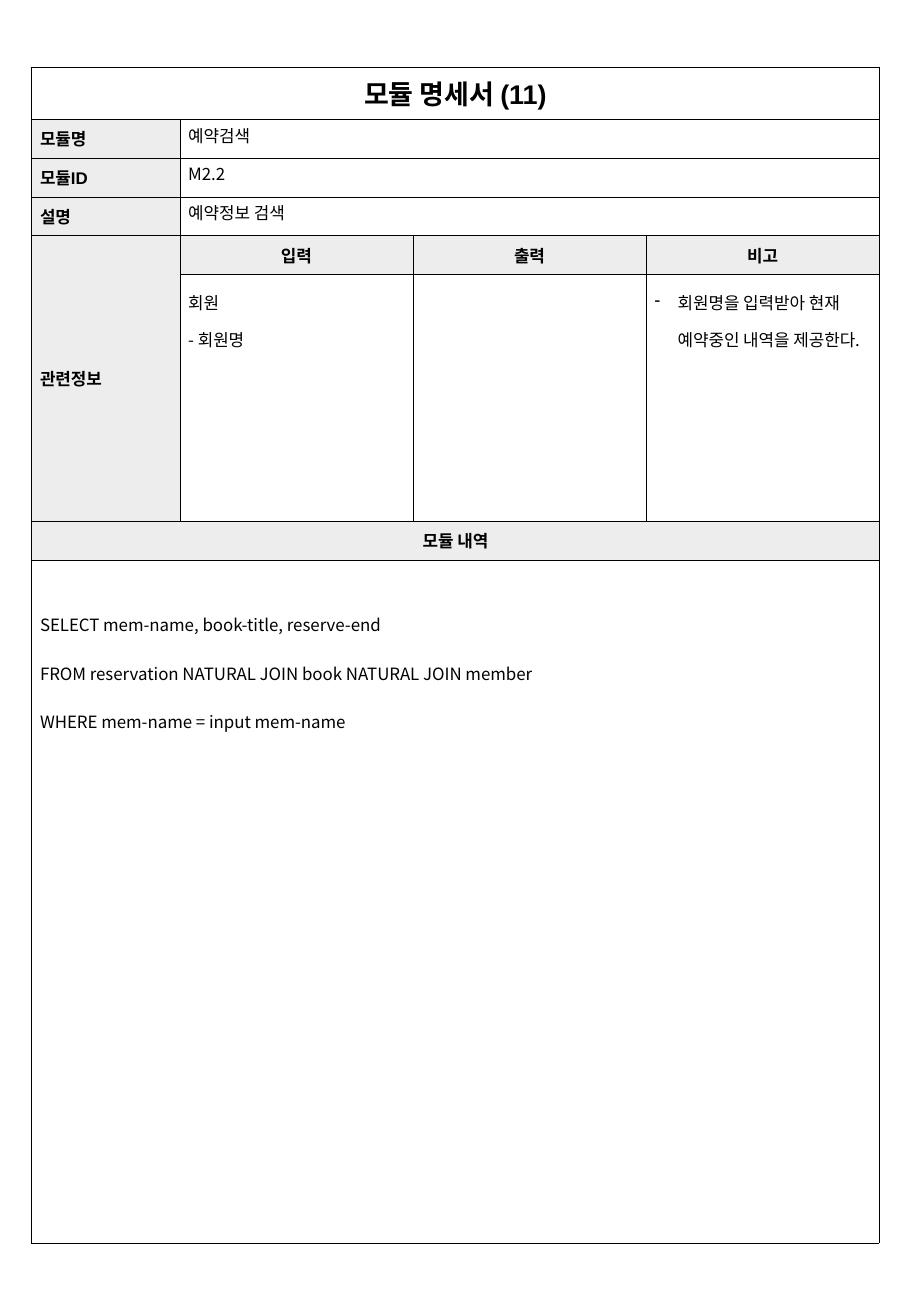
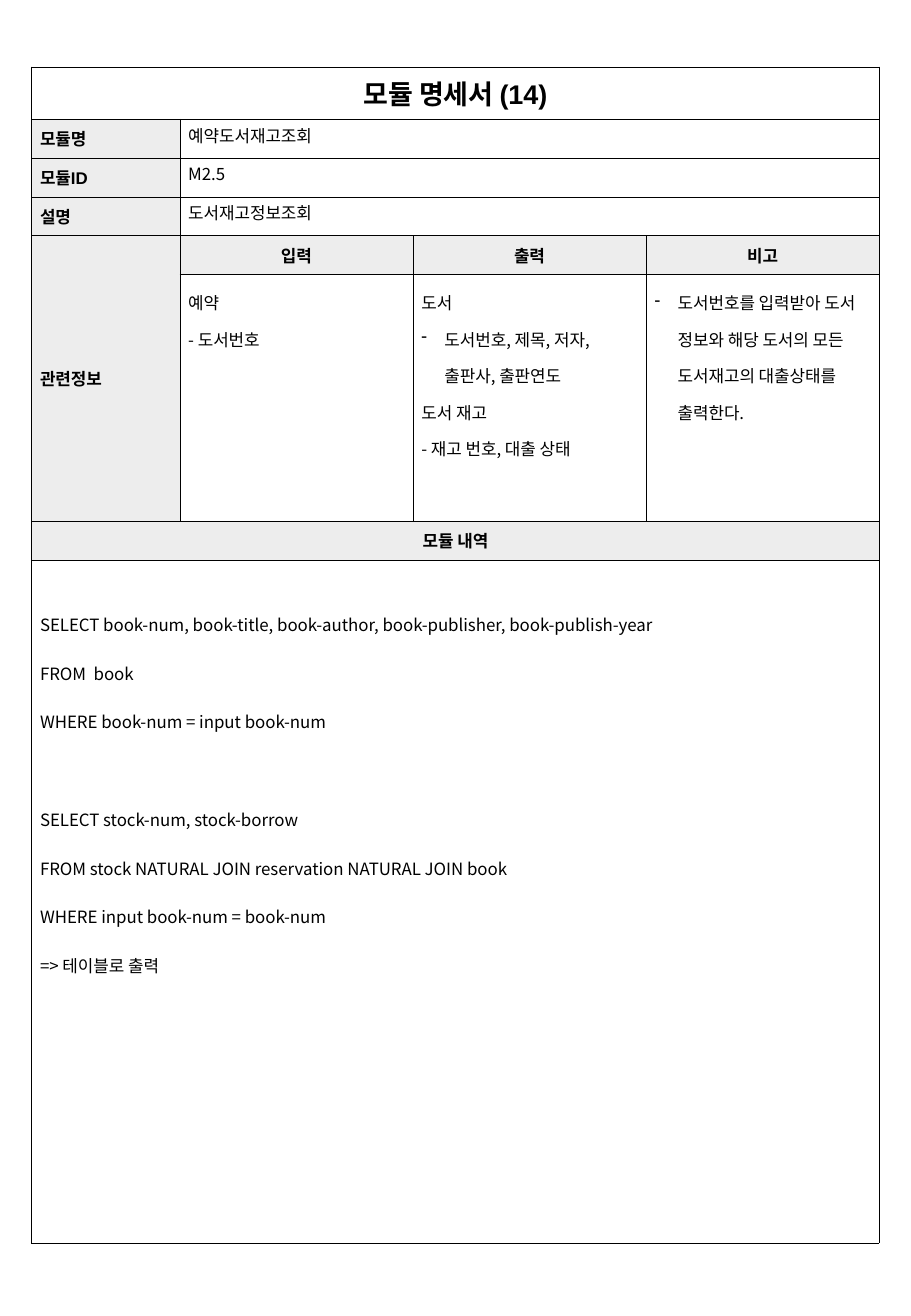
from dataclasses import dataclass

from lxml import etree
from pptx import Presentation
from pptx.dml.color import RGBColor
from pptx.enum.text import MSO_ANCHOR, PP_ALIGN
from pptx.oxml.ns import qn
from pptx.util import Inches, Pt

LEFT, CENTER = PP_ALIGN.LEFT, PP_ALIGN.CENTER
TOP, MIDDLE = MSO_ANCHOR.TOP, MSO_ANCHOR.MIDDLE

INK, PAPER, LABEL_FILL = "000000", "FFFFFF", "EDEDED"
LABEL_FONT, BODY_FONT = "Arial", "Noto Sans CJK KR"
BORDER_WIDTH = 0.25
SIDE_MARGIN, EDGE_MARGIN = 0.07, 0.03
HANGING = 0.19

SHEET_BOX = (0.26, 0.55, 6.98, 9.68)
COLUMN_WIDTHS = [1.22, 1.92, 1.92, 1.92]
ROW_HEIGHTS = [0.43, 0.32, 0.32, 0.32, 0.32, 2.03, 0.32, 5.62]
FIELD_LABELS = ["모듈명", "모듈ID", "설명"]
INFO_HEADINGS = ["입력", "출력", "비고"]


@dataclass
class Line:
    """A line of text, with a hanging dash or space above if wanted."""
    text: str
    dash: bool = False
    before: float = 0


MODULES = [
    {
        "number": 11,
        "fields": ["예약검색", "M2.2", "예약정보 검색"],
        "info": [
            [Line("회원"), Line("- 회원명")],
            [],
            [Line("회원명을 입력받아 현재 예약중인 내역을 제공한다.", dash=True)],
        ],
        "query": [
            Line("SELECT mem-name, book-title, reserve-end"),
            Line("FROM reservation NATURAL JOIN book NATURAL JOIN member"),
            Line("WHERE mem-name = input mem-name"),
        ],
    },
    {
        "number": 14,
        "fields": ["예약도서재고조회", "M2.5", "도서재고정보조회"],
        "info": [
            [Line("예약"), Line("- 도서번호")],
            [
                Line("도서"),
                Line("도서번호, 제목, 저자, 출판사, 출판연도", dash=True),
                Line("도서 재고"),
                Line("- 재고 번호, 대출 상태"),
            ],
            [Line("도서번호를 입력받아 도서 정보와 해당 도서의 모든 "
                  "도서재고의 대출상태를 출력한다.", dash=True)],
        ],
        "query": [
            Line("SELECT book-num, book-title, book-author, book-publisher, book-publish-year"),
            Line("FROM  book"),
            Line("WHERE book-num = input book-num"),
            Line("SELECT stock-num, stock-borrow", before=29),
            Line("FROM stock NATURAL JOIN reservation NATURAL JOIN book"),
            Line("WHERE input book-num = book-num"),
            Line("=> 테이블로 출력"),
        ],
    },
]


def color(hex_code):
    return RGBColor.from_string(hex_code)


def add_child(parent, tag, **attributes):
    return etree.SubElement(parent, qn(tag), attributes)


def add_borders(cell):
    properties = cell._tc.get_or_add_tcPr()
    for side in ("a:lnL", "a:lnR", "a:lnT", "a:lnB"):
        border = add_child(properties, side, w=str(int(Pt(BORDER_WIDTH))))
        add_child(add_child(border, "a:solidFill"), "a:srgbClr", val=INK)


def add_dash(paragraph):
    properties = paragraph._p.get_or_add_pPr()
    properties.set("marL", str(int(Inches(HANGING))))
    properties.set("indent", str(-int(Inches(HANGING))))
    add_child(properties, "a:buFontTx")
    add_child(properties, "a:buChar", char="-")


def write(cell, lines, font=BODY_FONT, size=10, bold=False, align=LEFT,
          anchor=TOP, spacing=None, top=EDGE_MARGIN):
    """Fill a cell with lines of text in one format."""
    cell.vertical_anchor = anchor
    cell.margin_left = cell.margin_right = Inches(SIDE_MARGIN)
    cell.margin_top, cell.margin_bottom = Inches(top), Inches(EDGE_MARGIN)
    frame = cell.text_frame
    for index, line in enumerate(lines):
        paragraph = frame.add_paragraph() if index else frame.paragraphs[0]
        if line.dash:
            add_dash(paragraph)
        paragraph.alignment = align
        if spacing:
            paragraph.line_spacing = spacing
        if line.before:
            paragraph.space_before = Pt(line.before)
        run = paragraph.add_run()
        run.text = line.text
        run.font.size, run.font.bold = Pt(size), bold
        run.font.color.rgb = color(INK)
        run.font.name = font
        add_child(run.font._element, "a:ea", typeface=BODY_FONT)


def write_label(cell, text, **formats):
    """Write bold Arial text on the label fill."""
    cell.fill.solid()
    cell.fill.fore_color.rgb = color(LABEL_FILL)
    write(cell, [Line(text)], font=LABEL_FONT, bold=True, anchor=MIDDLE, **formats)


def add_grid(slide, box):
    """Add the bordered white grid with its merged cells."""
    grid = slide.shapes.add_table(len(ROW_HEIGHTS), len(COLUMN_WIDTHS),
                                  *map(Inches, box)).table
    grid.first_row = grid.horz_banding = False
    for column, width in zip(grid.columns, COLUMN_WIDTHS):
        column.width = Inches(width)
    for row, height in zip(grid.rows, ROW_HEIGHTS):
        row.height = Inches(height)
    for cell in grid.iter_cells():
        add_borders(cell)
        cell.fill.solid()
        cell.fill.fore_color.rgb = color(PAPER)
    for row in (0, 6, 7):
        grid.cell(row, 0).merge(grid.cell(row, 3))
    for row in (1, 2, 3):
        grid.cell(row, 1).merge(grid.cell(row, 3))
    grid.cell(4, 0).merge(grid.cell(5, 0))
    return grid


def add_module_sheet(slide, box, module):
    grid = add_grid(slide, box)
    write(grid.cell(0, 0), [Line(f"모듈 명세서 ({module['number']})")],
          font=LABEL_FONT, size=16, bold=True, align=CENTER, anchor=MIDDLE)
    for row, (label, value) in enumerate(zip(FIELD_LABELS, module["fields"]), 1):
        write_label(grid.cell(row, 0), label)
        write(grid.cell(row, 1), [Line(value)])
    write_label(grid.cell(4, 0), "관련정보")
    for column, (heading, lines) in enumerate(zip(INFO_HEADINGS, module["info"]), 1):
        write_label(grid.cell(4, column), heading, align=CENTER)
        write(grid.cell(5, column), lines, spacing=1.5)
    write_label(grid.cell(6, 0), "모듈 내역", align=CENTER)
    write(grid.cell(7, 0), module["query"], spacing=2.0, top=0.23)


def main():
    deck = Presentation()
    deck.slide_width, deck.slide_height = Inches(7.5), Inches(10.83)
    for module in MODULES:
        slide = deck.slides.add_slide(deck.slide_layouts[6])
        add_module_sheet(slide, SHEET_BOX, module)
    deck.save("out.pptx")


if __name__ == "__main__":
    main()
